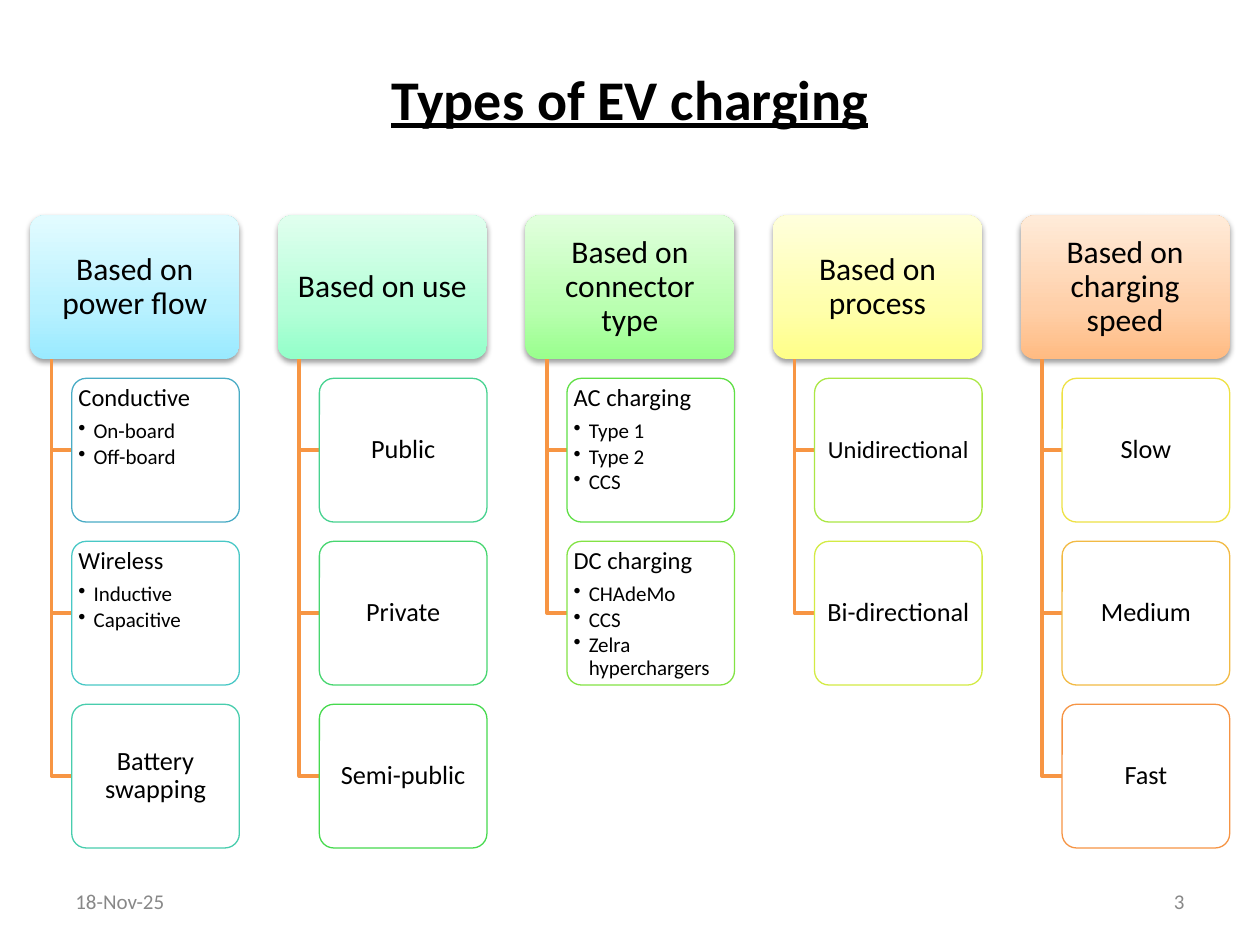
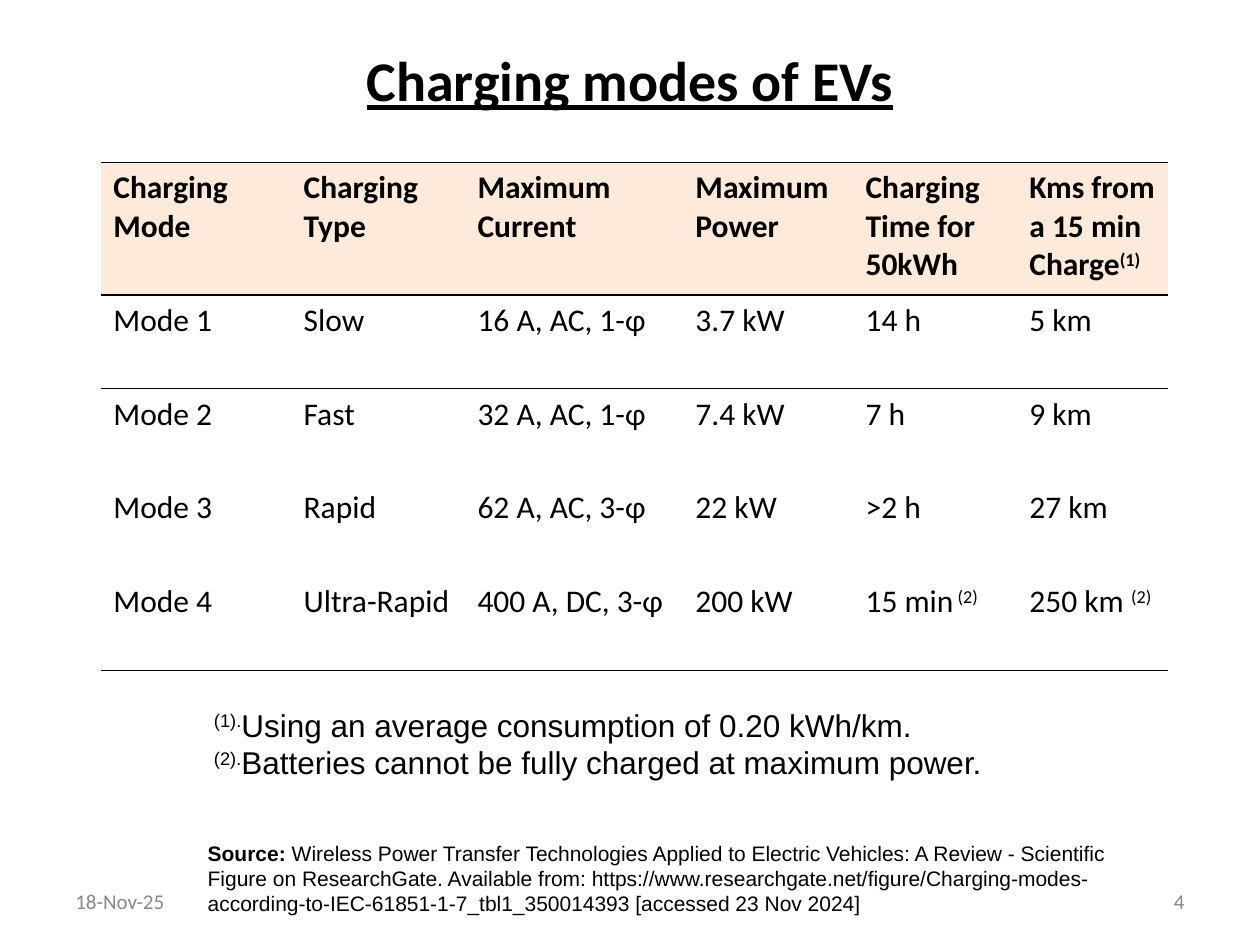
from lxml.etree import SubElement
from pptx import Presentation
from pptx.dml.color import RGBColor
from pptx.enum.shapes import MSO_SHAPE
from pptx.enum.text import MSO_ANCHOR, PP_ALIGN
from pptx.oxml import parse_xml
from pptx.oxml.ns import nsdecls, qn
from pptx.util import Inches, Pt

WIDTH, HEIGHT = 10, 7.5
BLACK, WHITE, GREY, ORANGE, PEACH = "000000", "FFFFFF", "888888", "F79543", "FDEADA"
BODY, NOTE = "Calibri", "Arial"
DATE = "18-Nov-25"
NO_GRID_STYLE = "{2D5ABB26-0587-4C30-8999-92F81FD0307C}"

CATEGORIES = [
    ("Based on power flow", ("99EAFF", "B8F1FF", "E2FBFF"), [
        ("Conductive", "49ACC5", ["On-board", "Off-board"]),
        ("Wireless", "49C8C6", ["Inductive", "Capacitive"]),
        ("Battery swapping", "48CDAD", [])]),
    ("Based on use", ("93FFC9", "B4FFD8", "E0FFEE"), [
        ("Public", "47D290", []),
        ("Private", "47D670", []),
        ("Semi-public", "46DA4E", [])]),
    ("Based on connector type", ("99FF8D", "B9FFB0", "E1FFDD"), [
        ("AC charging", "5FDF45", ["Type 1", "Type 2", "CCS"]),
        ("DC charging", "83E345", ["CHAdeMo", "CCS", "Zelra hyperchargers"])]),
    ("Based on process", ("FFFF88", "FFFFAB", "FFFFDC"), [
        ("Unidirectional", "ABE745", []),
        ("Bi-directional", "D3EB44", [])]),
    ("Based on charging speed", ("FFBB82", "FFCFA8", "FFEBD9"), [
        ("Slow", "EEE144", []),
        ("Medium", "F2BA44", []),
        ("Fast", "F69444", [])]),
]
SMALLER_LABELS = {"Unidirectional": 14}
GRADIENT_STOPS = (0, 35, 100)

MARGIN, TREE_TOP, TREE_BOTTOM = 0.24, 1.71, 6.73
BOX_WIDTH, BOX_HEIGHT, CARD_WIDTH, TRUNK_OFFSET = 1.66, 1.14, 1.33, 0.17
COLUMN_STEP = (WIDTH - 2 * MARGIN - BOX_WIDTH) / (len(CATEGORIES) - 1)
ROW_STEP = (TREE_BOTTOM - TREE_TOP - BOX_HEIGHT) / 3

MODES = [
    ["Charging Mode", "Charging Type", "Maximum Current", "Maximum Power",
     "Charging Time for 50kWh", ("Kms from a 15 min Charge", "(1)")],
    ["Mode 1", "Slow", "16 A, AC, 1-ɸ", "3.7 kW", "14 h", "5 km"],
    ["Mode 2", "Fast", "32 A, AC, 1-ɸ", "7.4 kW", "7 h", "9 km"],
    ["Mode 3", "Rapid", "62 A, AC, 3-ɸ", "22 kW", ">2 h", "27 km"],
    ["Mode 4", "Ultra-Rapid", "400 A, DC, 3-ɸ", "200 kW",
     ("15 min", " (2)"), ("250 km ", "(2)")],
]
COLUMN_WIDTHS = [1.51, 1.38, 1.73, 1.35, 1.3, 1.2]
TABLE_LEFT, TABLE_TOP, TABLE_HEIGHT, HEADER_HEIGHT = 0.8, 1.29, 4.03, 1.05
RULED_ROWS = {0, 1, len(MODES) - 1}
FOOTNOTES = [
    ("(1).", "Using an average consumption of 0.20 kWh/km."),
    ("(2).", "Batteries cannot be fully charged at maximum power."),
]
SOURCE = (
    "Wireless Power Transfer Technologies Applied to Electric Vehicles: A Review - "
    "Scientific Figure on ResearchGate. Available from: "
    "https://www.researchgate.net/figure/Charging-modes-according-to-IEC-61851-1-7_tbl1_350014393 "
    "[accessed 23 Nov 2024]"
)


def color(value):
    return RGBColor.from_string(value)


def add_run(paragraph, text, size, font=BODY, ink=BLACK, bold=False, underline=False, raised=False):
    run = paragraph.add_run()
    run.text = text
    run.font.size = Pt(size)
    run.font.name = font
    run.font.color.rgb = color(ink)
    run.font.bold = bold
    run.font.underline = underline
    if raised:
        run.font._element.set("baseline", "30000")


def next_paragraph(frame, first):
    return frame.paragraphs[0] if first else frame.add_paragraph()


def prepare_frame(frame, anchor, horizontal=0.1, vertical=0.05):
    frame.word_wrap = True
    frame.vertical_anchor = anchor
    frame.margin_left = frame.margin_right = Inches(horizontal)
    frame.margin_top = frame.margin_bottom = Inches(vertical)


def add_text_box(slide, left, top, width, height, anchor=MSO_ANCHOR.TOP):
    box = slide.shapes.add_textbox(*map(Inches, (left, top, width, height)))
    prepare_frame(box.text_frame, anchor)
    return box.text_frame


def add_frame_slide(presentation, title, number, title_top, title_height):
    slide = presentation.slides.add_slide(presentation.slide_layouts[6])
    lines = [
        (title, 0.5, title_top, 9, title_height, PP_ALIGN.CENTER,
         dict(size=32, bold=True, underline=True)),
        (DATE, 0.5, 6.95, 2.33, 0.4, PP_ALIGN.LEFT, dict(size=12, ink=GREY)),
        (str(number), 7.17, 6.95, 2.33, 0.4, PP_ALIGN.RIGHT, dict(size=12, ink=GREY)),
    ]
    for text, left, top, width, height, alignment, style in lines:
        frame = add_text_box(slide, left, top, width, height, MSO_ANCHOR.MIDDLE)
        frame.paragraphs[0].alignment = alignment
        add_run(frame.paragraphs[0], text, **style)
    return slide


def add_rounded_box(slide, left, top, width):
    shape = slide.shapes.add_shape(
        MSO_SHAPE.ROUNDED_RECTANGLE, *map(Inches, (left, top, width, BOX_HEIGHT)))
    shape.adjustments[0] = 0.1
    shape.shadow.inherit = False
    shape.fill.solid()
    shape.fill.fore_color.rgb = color(WHITE)
    return shape


def write_centered(shape, text, size, margin):
    prepare_frame(shape.text_frame, MSO_ANCHOR.MIDDLE, margin, 0.02)
    paragraph = shape.text_frame.paragraphs[0]
    paragraph.alignment = PP_ALIGN.CENTER
    paragraph.line_spacing = 0.9
    add_run(paragraph, text, size)


def add_header(slide, left, text, shades):
    shape = add_rounded_box(slide, left, TREE_TOP, BOX_WIDTH)
    shape.line.fill.background()
    properties = shape._element.spPr
    stops = "".join(
        f'<a:gs pos="{stop * 1000}"><a:srgbClr val="{shade}"/></a:gs>'
        for stop, shade in zip(GRADIENT_STOPS, shades))
    gradient = parse_xml(
        f'<a:gradFill {nsdecls("a")} rotWithShape="1"><a:gsLst>{stops}</a:gsLst>'
        '<a:lin ang="16200000" scaled="0"/></a:gradFill>')
    properties.replace(properties.find(qn("a:solidFill")), gradient)
    properties.find(qn("a:effectLst")).append(parse_xml(
        f'<a:outerShdw {nsdecls("a")} blurRad="40000" dist="20000" dir="5400000" rotWithShape="0">'
        '<a:srgbClr val="000000"><a:alpha val="38000"/></a:srgbClr></a:outerShdw>'))
    write_centered(shape, text, 18, 0.04)


def add_branch(slide, trunk, card_left, middle):
    start = TREE_TOP + BOX_HEIGHT
    builder = slide.shapes.build_freeform(Inches(trunk), Inches(start))
    corners = [(trunk, middle), (card_left, middle)]
    builder.add_line_segments([(Inches(x), Inches(y)) for x, y in corners], close=False)
    branch = builder.convert_to_shape()
    branch.fill.background()
    branch.line.color.rgb = color(ORANGE)
    branch.line.width = Pt(2)
    branch.shadow.inherit = False


def add_bullet(paragraph):
    properties = paragraph._p.get_or_add_pPr()
    properties.set("marL", str(Inches(0.12)))
    properties.set("indent", str(-Inches(0.12)))
    bullet_color = SubElement(properties, qn("a:buClr"))
    SubElement(bullet_color, qn("a:srgbClr")).set("val", BLACK)
    SubElement(properties, qn("a:buChar")).set("char", "•")


def add_card(slide, left, top, label, outline, items):
    card = add_rounded_box(slide, left, top, CARD_WIDTH)
    card.line.color.rgb = color(outline)
    card.line.width = Pt(0.75)
    if not items:
        write_centered(card, label, SMALLER_LABELS.get(label, 15), 0.03)
        return
    frame = card.text_frame
    prepare_frame(frame, MSO_ANCHOR.TOP, 0.02, 0.02)
    for index, text in enumerate([label] + items):
        paragraph = next_paragraph(frame, index == 0)
        paragraph.alignment = PP_ALIGN.LEFT
        paragraph.line_spacing = 0.9
        if index:
            add_bullet(paragraph)
            paragraph.space_before = Pt(4.9 if index == 1 else 1.8)
        add_run(paragraph, text, 12 if index else 14)


def build_types_slide(presentation):
    slide = add_frame_slide(presentation, "Types of EV charging", 3, 0.3, 0.95)
    for column, (heading, shades, cards) in enumerate(CATEGORIES):
        left = MARGIN + column * COLUMN_STEP
        card_left = left + BOX_WIDTH - CARD_WIDTH
        add_header(slide, left, heading, shades)
        for row, card in enumerate(cards, start=1):
            top = TREE_TOP + row * ROW_STEP
            add_branch(slide, left + TRUNK_OFFSET, card_left, top + BOX_HEIGHT / 2)
            add_card(slide, card_left, top, *card)


def add_rule(cell, side):
    cell._tc.get_or_add_tcPr().insert(0, parse_xml(
        f'<a:{side} {nsdecls("a")} w="12700"><a:solidFill><a:srgbClr val="{BLACK}"/>'
        f'</a:solidFill></a:{side}>'))


def add_modes_table(slide):
    graphic = slide.shapes.add_table(
        len(MODES), len(COLUMN_WIDTHS), Inches(TABLE_LEFT), Inches(TABLE_TOP),
        Inches(sum(COLUMN_WIDTHS)), Inches(TABLE_HEIGHT))
    table = graphic.table
    table._tbl.tblPr.find(qn("a:tableStyleId")).text = NO_GRID_STYLE
    table.horz_banding = False
    for column, width in zip(table.columns, COLUMN_WIDTHS):
        column.width = Inches(width)
    body_height = (TABLE_HEIGHT - HEADER_HEIGHT) / (len(MODES) - 1)
    for row, values in enumerate(MODES):
        table.rows[row].height = Inches(body_height if row else HEADER_HEIGHT)
        for column, value in enumerate(values):
            cell = table.cell(row, column)
            if row:
                cell.fill.background()
            else:
                cell.fill.solid()
                cell.fill.fore_color.rgb = color(PEACH)
            if row in RULED_ROWS:
                add_rule(cell, "lnB")
            if row == 0:
                add_rule(cell, "lnT")
            parts = (value,) if isinstance(value, str) else value
            for index, text in enumerate(parts):
                add_run(cell.text_frame.paragraphs[0], text, 18, bold=row == 0, raised=index > 0)


def build_modes_slide(presentation):
    slide = add_frame_slide(presentation, "Charging modes of EVs", 4, 0.29, 0.68)
    add_modes_table(slide)
    notes = add_text_box(slide, 1.6, 5.55, 6.67, 0.71)
    for index, (mark, text) in enumerate(FOOTNOTES):
        paragraph = next_paragraph(notes, index == 0)
        add_run(paragraph, mark, 18, NOTE, raised=True)
        add_run(paragraph, text, 18, NOTE)
    source = add_text_box(slide, 1.55, 6.62, 7.42, 0.71).paragraphs[0]
    add_run(source, "Source: ", 12, NOTE, bold=True)
    add_run(source, SOURCE, 12, NOTE)


def main():
    presentation = Presentation()
    presentation.slide_width = Inches(WIDTH)
    presentation.slide_height = Inches(HEIGHT)
    build_types_slide(presentation)
    build_modes_slide(presentation)
    presentation.save("out.pptx")


if __name__ == "__main__":
    main()
